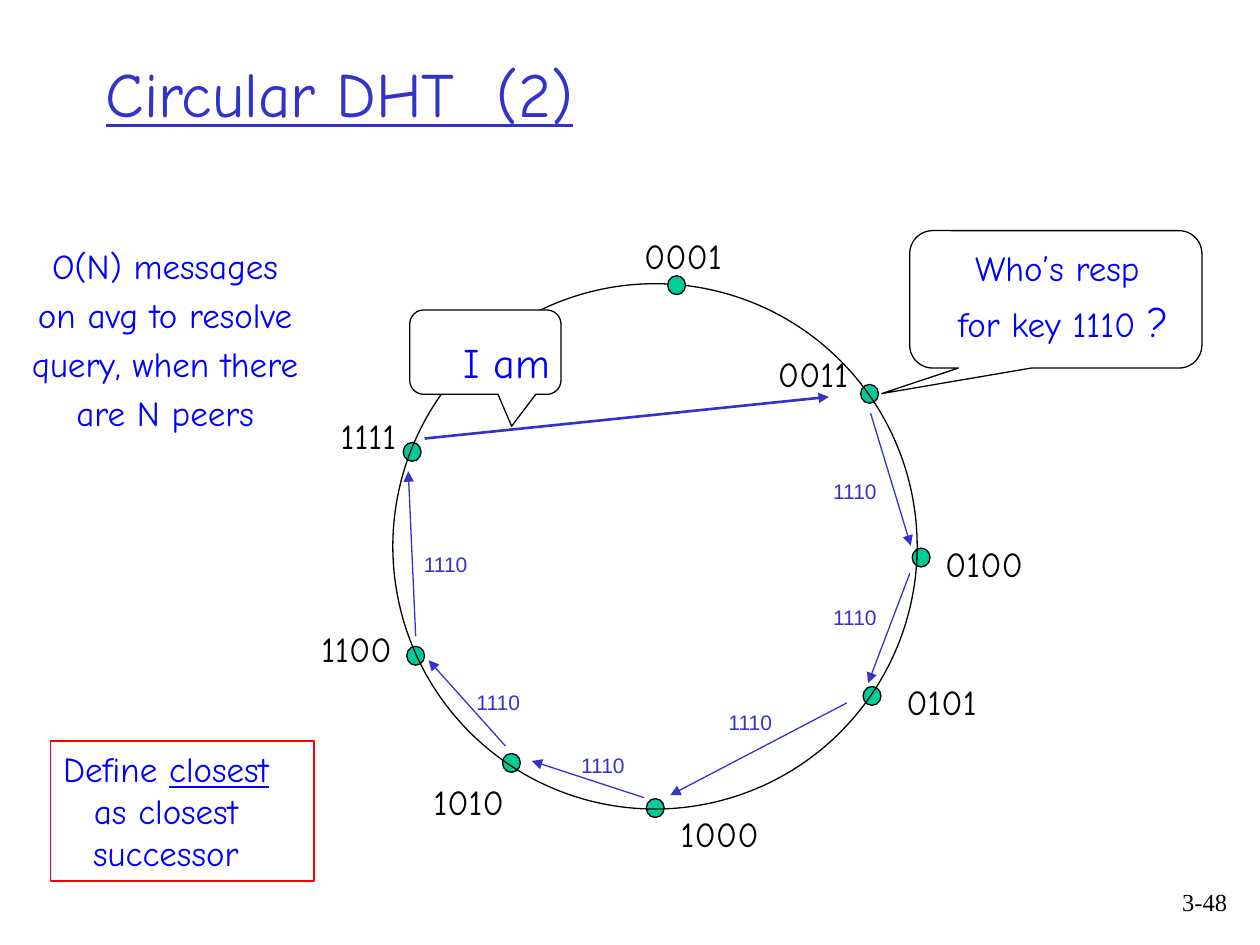
"""Build the slide on resolving a key in a circular DHT."""
from lxml.etree import SubElement
from pptx import Presentation
from pptx.dml.color import RGBColor
from pptx.enum.shapes import MSO_CONNECTOR as Connector, MSO_SHAPE as Shape
from pptx.enum.text import MSO_ANCHOR as Anchor, PP_ALIGN as Align
from pptx.oxml.ns import qn
from pptx.util import Cm, Pt

BLACK = RGBColor(0x00, 0x00, 0x00)
WHITE = RGBColor(0xFF, 0xFF, 0xFF)
BLUE = RGBColor(0x00, 0x00, 0xFF)
INDIGO = RGBColor(0x33, 0x33, 0xCC)
GREEN = RGBColor(0x00, 0xCC, 0x99)
RED = RGBColor(0xFF, 0x00, 0x00)

deck = Presentation()
deck.slide_width, deck.slide_height = Cm(25.4), Cm(19.05)
slide = deck.slides.add_slide(deck.slide_layouts[6])


def write(text, left, top, width, height, size=20, font="Comic Neue", color=BLUE,
          align=Align.CENTER, anchor=Anchor.TOP, before=4, wrap=False,
          underline=None, accent=None):
    box = slide.shapes.add_textbox(Cm(left), Cm(top), Cm(width), Cm(height))
    frame = box.text_frame
    frame.word_wrap = wrap
    frame.vertical_anchor = anchor
    for row, line in enumerate(text.split("\n")):
        paragraph = frame.paragraphs[0] if row == 0 else frame.add_paragraph()
        paragraph.alignment = align
        paragraph.space_before = Pt(before if row else min(size / 5, 4))
        for part, words in enumerate(line.split("|")):
            run = paragraph.add_run()
            run.text = words
            run.font.name, run.font.size = font, Pt(size)
            run.font.color.rgb = color
            run.font.underline = underline
            if part % 2:
                for key, value in accent.items():
                    setattr(run.font, key, value)
    return box


def draw(kind, left, top, width, height, fill=None, adjustments=()):
    shape = slide.shapes.add_shape(kind, Cm(left), Cm(top), Cm(width), Cm(height))
    shape.shadow.inherit = False
    if fill is None:
        shape.fill.background()
    else:
        shape.fill.solid()
        shape.fill.fore_color.rgb = fill
    shape.line.color.rgb = BLACK
    shape.line.width = Pt(0.75)
    for index, value in enumerate(adjustments):
        shape.adjustments[index] = value


write("3-48", 23.06, 17.75, 1.93, 1.27, size=14, font="Times New Roman",
      color=BLACK, align=Align.RIGHT)
write("Circular DHT  (2)", 1.88, 1.04, 21.59, 1.65, size=36, color=INDIGO,
      align=Align.LEFT, anchor=Anchor.MIDDLE, before=0, wrap=True, underline=True)

peers = [
    ("0011", 17.35, 7.75, 15.34, 6.99),
    ("0100", 18.39, 11.05, 18.79, 10.82),
    ("0101", 17.4, 13.84, 17.93, 13.59),
    ("1000", 13.03, 16.1, 13.46, 16.26),
    ("1010", 10.13, 15.19, 8.4, 15.6),
    ("1100", 8.2, 13.03, 6.14, 12.52),
    ("1111", 8.13, 8.92, 6.38, 8.23),
    ("0001", 13.46, 5.56, 12.72, 4.6),
]
for peer, dot_x, dot_y, label_x, label_y in peers:
    if peer == "0001":
        draw(Shape.OVAL, 7.92, 5.72, 10.57, 10.59)
    draw(Shape.OVAL, dot_x, dot_y, 0.36, 0.38, fill=GREEN)
    write(peer, label_x, label_y, 2.1, 1.12, color=BLACK)

hops = [
    ((17.55, 8.33), (18.36, 11), (16.51, 9.53)),
    ((18.34, 11.56), (17.5, 13.77), (16.51, 12.07)),
    ((17.07, 14.17), (13.51, 16.03), (14.4, 14.17)),
    ((12.98, 16.08), (10.72, 15.34), (11.43, 15.04)),
    ((10.19, 15.04), (8.64, 13.31), (9.32, 13.77)),
    ((8.38, 12.83), (8.23, 9.5), (8.26, 11)),
    ((8.56, 8.84), (16.71, 8), None),
]
for start, end, key_at in hops:
    hop = slide.shapes.add_connector(
        Connector.STRAIGHT, *(Cm(value) for value in start + end))
    hop.line.color.rgb = INDIGO
    hop.line.width = Pt(0.75 if key_at else 1.5)
    SubElement(hop.line._get_or_add_ln(), qn("a:tailEnd"), type="triangle")
    SubElement(hop._element.spPr, qn("a:effectLst"))
    if key_at:
        write("1110", *key_at, 1.45, 0.76, size=12, font="Arial", color=INDIGO)

draw(Shape.ROUNDED_RECTANGULAR_CALLOUT, 18.34, 4.65, 5.89, 2.77,
     adjustments=(-0.596, 0.686, 0.167))
write("Who’s resp \nfor key 1110 |?", 18.82, 4.85, 5.23, 2.34,
      accent={"size": Pt(24)})
draw(Shape.ROUNDED_RECTANGULAR_CALLOUT, 8.26, 6.25, 3.05, 1.7, fill=WHITE,
     adjustments=(0.174, 0.878, 0.167))
write("I am", 8.41, 6.65, 3.61, 1.3, size=24, wrap=True)

write("O(N) messages\non avg to resolve\nquery, when there\nare N peers",
      0.08, 4.8, 6.5, 4.19)
definition = write("Define |closest\nas closest\nsuccessor", 1.02, 14.94, 5.31, 2.82,
                   before=0, wrap=True, accent={"underline": True})
definition.line.color.rgb = RED
definition.line.width = Pt(0.75)
definition.text_frame.margin_left = Cm(0)
definition.text_frame.margin_right = Cm(0.66)

deck.save("out.pptx")
